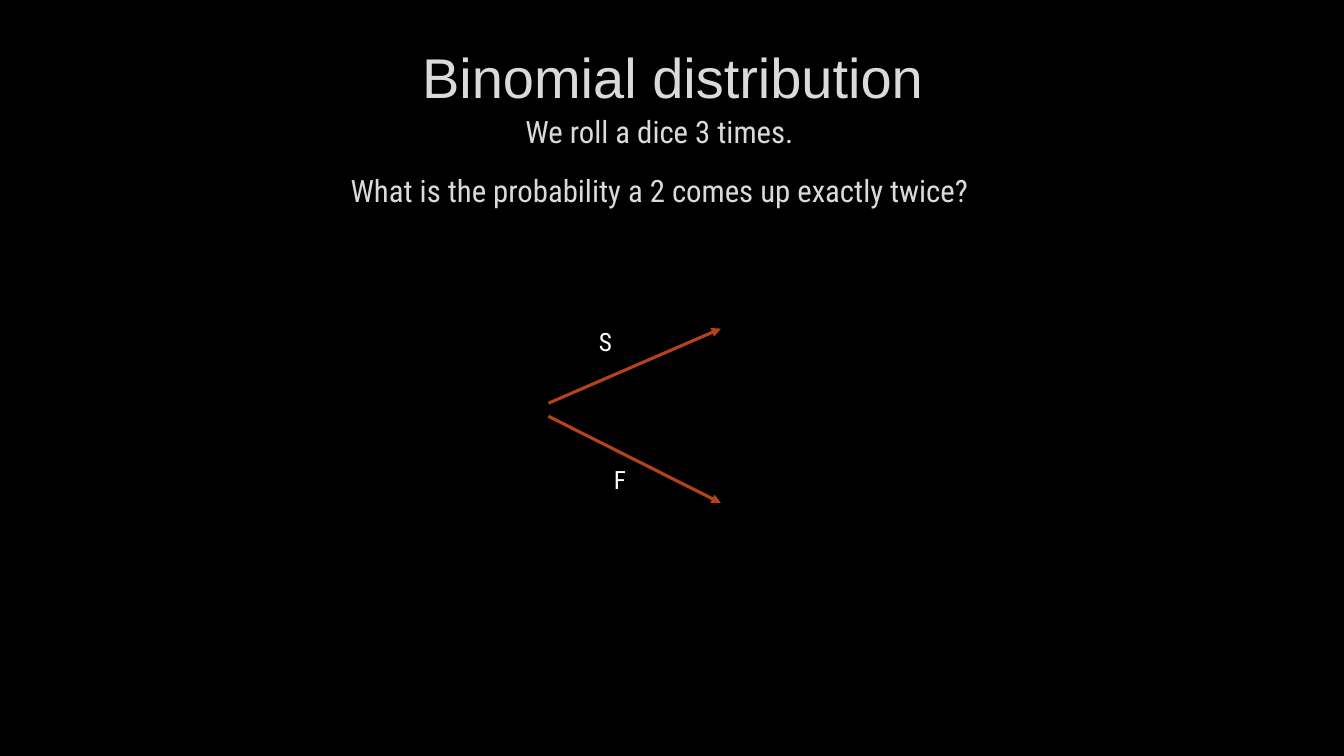
from dataclasses import dataclass

from lxml import etree
from pptx import Presentation
from pptx.dml.color import RGBColor
from pptx.enum import shapes, text
from pptx.oxml import ns
from pptx.util import Inches, Pt


@dataclass(frozen=True)
class Theme:
    background: str = "000000"
    heading: str = "DADADA"
    label: str = "FFFFFF"
    branch: str = "B4421A"
    title_font: str = "Arial"
    body_font: str = "Roboto Condensed"
    title_size: int = 40
    question_size: int = 22
    label_size: int = 18
    branch_width: float = 2.25


THEME = Theme()


def add_text(page, area, lines, font, size, color, centred=True, spacing=1.0, gap=0):
    box = page.shapes.add_textbox(*map(Inches, area))
    frame = box.text_frame
    frame.word_wrap = centred
    frame.vertical_anchor = text.MSO_ANCHOR.MIDDLE if centred else text.MSO_ANCHOR.TOP
    for index, line in enumerate(lines):
        para = frame.paragraphs[0] if index == 0 else frame.add_paragraph()
        para.alignment = text.PP_ALIGN.CENTER if centred else text.PP_ALIGN.LEFT
        para.line_spacing = spacing
        para.space_before = Pt(gap if index else 0)
        span = para.add_run()
        span.text = line
        span.font.name = font
        span.font.size = Pt(size)
        span.font.color.rgb = RGBColor.from_string(color)


def add_branch(page, start, end):
    ends = map(Inches, (*start, *end))
    branch = page.shapes.add_connector(shapes.MSO_CONNECTOR.STRAIGHT, *ends)
    branch.line.color.rgb = RGBColor.from_string(THEME.branch)
    branch.line.width = Pt(THEME.branch_width)
    outline = branch.line._get_or_add_ln()
    etree.SubElement(outline, ns.qn("a:tailEnd"), type="triangle")
    etree.SubElement(branch._element.spPr, ns.qn("a:effectLst"))


def main():
    deck = Presentation()
    deck.slide_width, deck.slide_height = Inches(13.33), Inches(7.5)
    page = deck.slides.add_slide(deck.slide_layouts[6])
    page.background.fill.solid()
    page.background.fill.fore_color.rgb = RGBColor.from_string(THEME.background)

    add_text(page, (1.01, 0.23, 11.32, 1.06), ["Binomial distribution"],
             THEME.title_font, THEME.title_size, THEME.heading)
    question = ["We roll a dice 3 times.",
                "What is the probability a 2 comes up exactly twice?"]
    add_text(page, (1.2, 1.1, 10.68, 1.06), question, THEME.body_font,
             THEME.question_size, THEME.heading, spacing=0.8, gap=21)

    outcomes = [
        ("S", (5.44, 4), (7.15, 3.26), (5.84, 3.19, 0.31, 0.4)),
        ("F", (5.44, 4.13), (7.15, 4.99), (5.99, 4.56, 0.29, 0.4)),
    ]
    for name, start, end, area in outcomes:
        add_branch(page, start, end)
        add_text(page, area, [name], THEME.body_font, THEME.label_size,
                 THEME.label, centred=False)

    deck.save("out.pptx")


if __name__ == "__main__":
    main()
